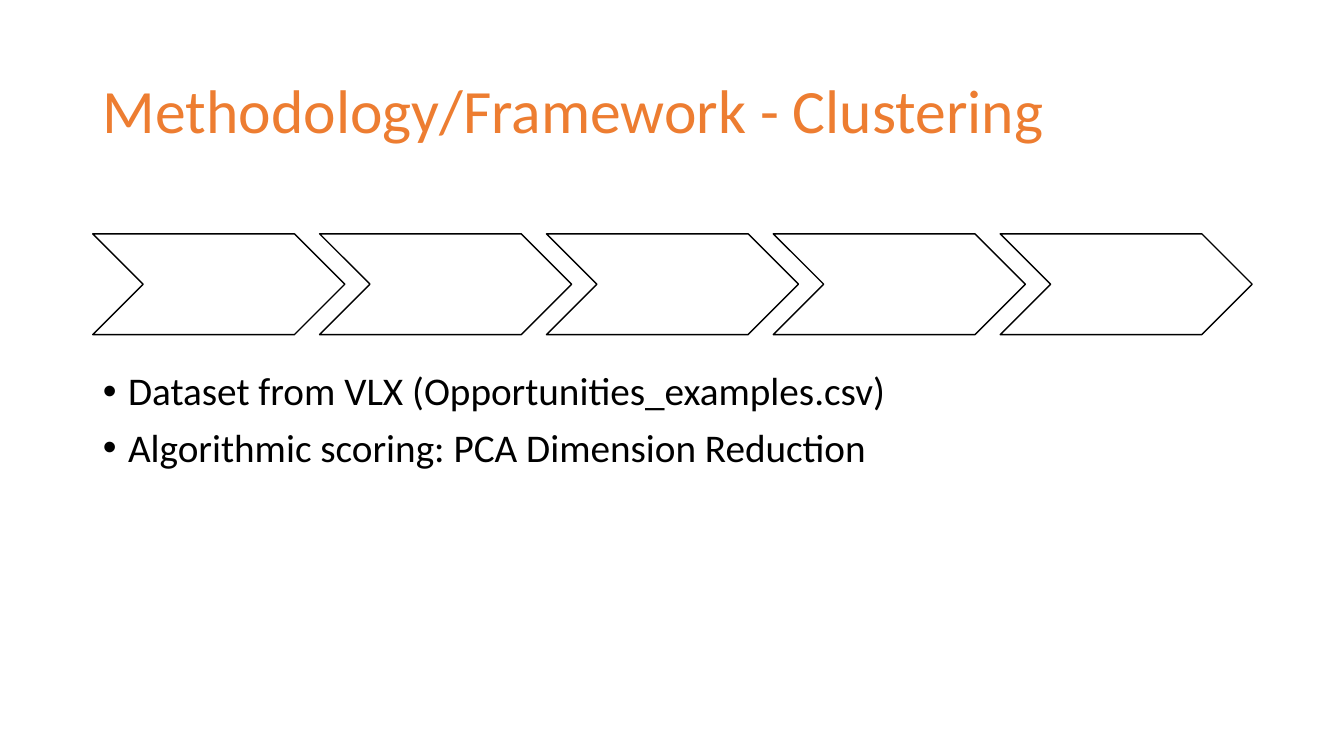
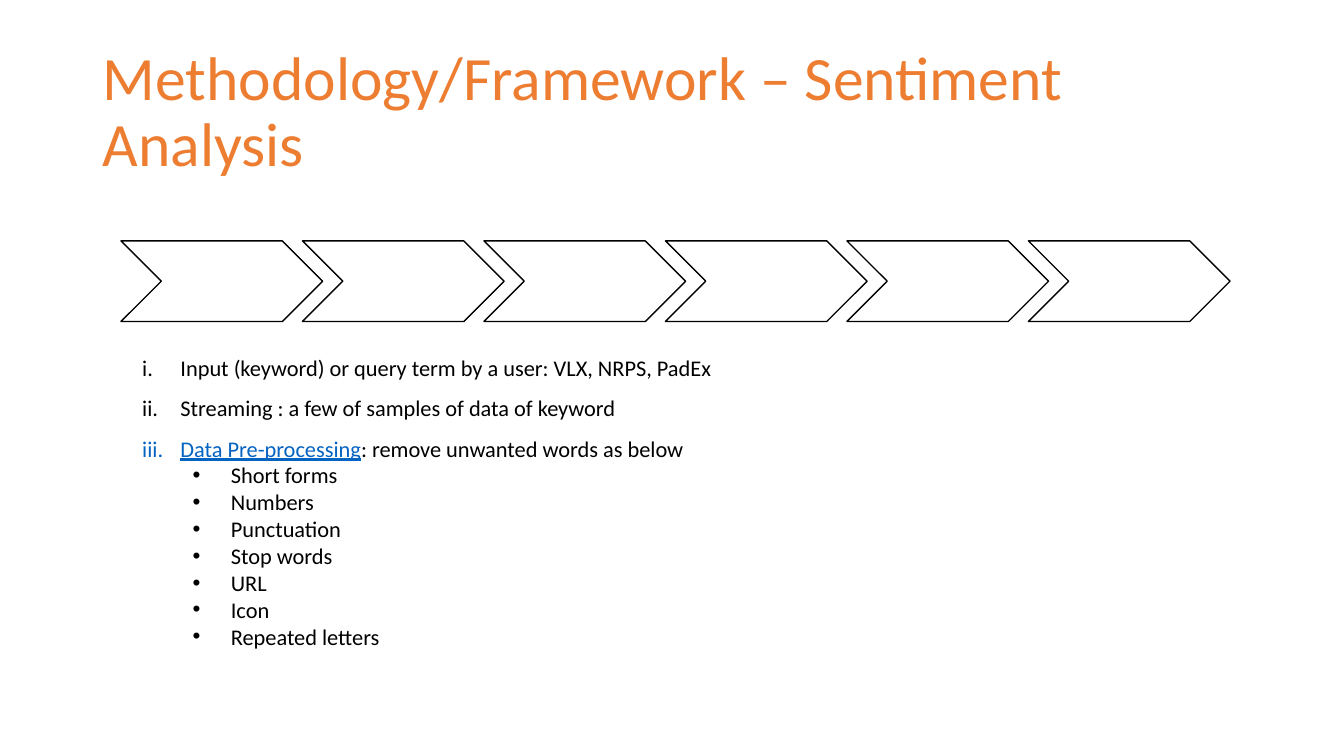
from lxml import etree
from pptx import Presentation
from pptx.dml.color import RGBColor
from pptx.enum import shapes, text
from pptx.oxml import ns
from pptx.util import Inches, Pt

COLOURS = {"title": "ED7D31", "text": "000000", "link": "0563C1", "fill": "FFFFFF", "line": "000000"}
FONT = "Calibri"
TITLE_BOX = (0.92, 0.4, 11.5, 1.45)

# Paragraph styles: bullet kind, left indent and hanging indent in inches
BULLET = dict(size=28, bullet="•", indent=0.25, hanging=0.25, line_spacing=0.9, before=10)
STEP = dict(size=16, bullet="romanLcPeriod", indent=0.38, hanging=0.38, line_spacing=1.5)
DETAIL = dict(size=16, bullet="•", indent=0.88, hanging=0.38, level=1)
LAST_DETAIL = dict(DETAIL, after=8)

# Content: each paragraph is a list of (text, colour name) runs with a style
DETAILS = ["Short forms", "Numbers", "Punctuation", "Stop words", "URL", "Icon"]
SLIDES = [
    {
        "title": "Methodology/Framework - Clustering",
        "chevrons": dict(count=5, left=0.92, top=2.32, width=2.5),
        "body_box": (0.92, 3.64, 11.5, 3.12),
        "body": [
            ([("Dataset from VLX (Opportunities_examples.csv)", "text")], BULLET),
            ([("Algorithmic scoring: PCA Dimension Reduction", "text")], BULLET),
        ],
    },
    {
        "title": "Methodology/Framework – Sentiment Analysis",
        "chevrons": dict(count=6, left=1.2, top=2.39, width=2),
        "body_box": (1.31, 3.33, 10.77, 3.2),
        "body": [
            ([("Input (keyword) or query term by a user: VLX, NRPS, PadEx", "text")], STEP),
            ([("Streaming : a few of samples of data of keyword", "text")], STEP),
            ([("Data Pre-processing", "link"), (": remove unwanted words as below", "text")], STEP),
            *[([(detail, "text")], DETAIL) for detail in DETAILS],
            ([("Repeated letters", "text")], LAST_DETAIL),
        ],
    },
]


def place(shape, box):
    shape.left, shape.top, shape.width, shape.height = map(Inches, box)


def set_bullet(paragraph, bullet, indent, hanging):
    properties = paragraph._p.get_or_add_pPr()
    properties.set("marL", str(Inches(indent)))
    properties.set("indent", str(-Inches(hanging)))
    if bullet == "•":
        etree.SubElement(properties, ns.qn("a:buFont"), typeface="Arial")
        etree.SubElement(properties, ns.qn("a:buChar"), char=bullet)
    else:
        etree.SubElement(properties, ns.qn("a:buFont"), typeface="+mj-lt")
        etree.SubElement(properties, ns.qn("a:buAutoNum"), type=bullet)


def write(paragraph, runs, size, line_spacing=1.0, before=0, after=0, level=0,
          bullet=None, indent=0, hanging=0):
    paragraph.alignment = text.PP_ALIGN.LEFT
    paragraph.level = level
    paragraph.line_spacing = line_spacing
    paragraph.space_before, paragraph.space_after = Pt(before), Pt(after)
    if bullet:
        set_bullet(paragraph, bullet, indent, hanging)
    for words, colour in runs:
        run = paragraph.add_run()
        run.text = words
        run.font.name, run.font.size = FONT, Pt(size)
        run.font.color.rgb = RGBColor.from_string(COLOURS[colour])
        if colour == "link":
            run.font.underline = True


def add_chevrons(slide, count, left, top, width):
    """A row of chevrons, each overlapping the next by a tenth of its width."""
    group = slide.shapes.add_group_shape()
    for index in range(count):
        chevron = group.shapes.add_shape(
            shapes.MSO_SHAPE.CHEVRON, Inches(left + index * width * 0.9), Inches(top),
            Inches(width), Inches(width * 0.4))
        chevron.shadow.inherit = False
        chevron.fill.solid()
        chevron.fill.fore_color.rgb = RGBColor.from_string(COLOURS["fill"])
        chevron.line.color.rgb = RGBColor.from_string(COLOURS["line"])
        chevron.line.width = Pt(1)


def add_slide(presentation, content):
    slide = presentation.slides.add_slide(presentation.slide_layouts[1])
    title, body = slide.placeholders
    for placeholder, box in ((title, TITLE_BOX), (body, content["body_box"])):
        place(placeholder, box)
        placeholder.text_frame.word_wrap = True
        placeholder.text_frame.auto_size = text.MSO_AUTO_SIZE.NONE

    # Title
    title.text_frame.vertical_anchor = text.MSO_ANCHOR.MIDDLE
    write(title.text_frame.paragraphs[0], [(content["title"], "title")], size=44, line_spacing=0.9)

    # List
    for index, (runs, style) in enumerate(content["body"]):
        frame = body.text_frame
        paragraph = frame.add_paragraph() if index else frame.paragraphs[0]
        write(paragraph, runs, **style)

    # Process steps
    add_chevrons(slide, **content["chevrons"])


def main():
    presentation = Presentation()
    presentation.slide_width, presentation.slide_height = Inches(13.33), Inches(7.5)
    for content in SLIDES:
        add_slide(presentation, content)
    presentation.save("out.pptx")


if __name__ == "__main__":
    main()
